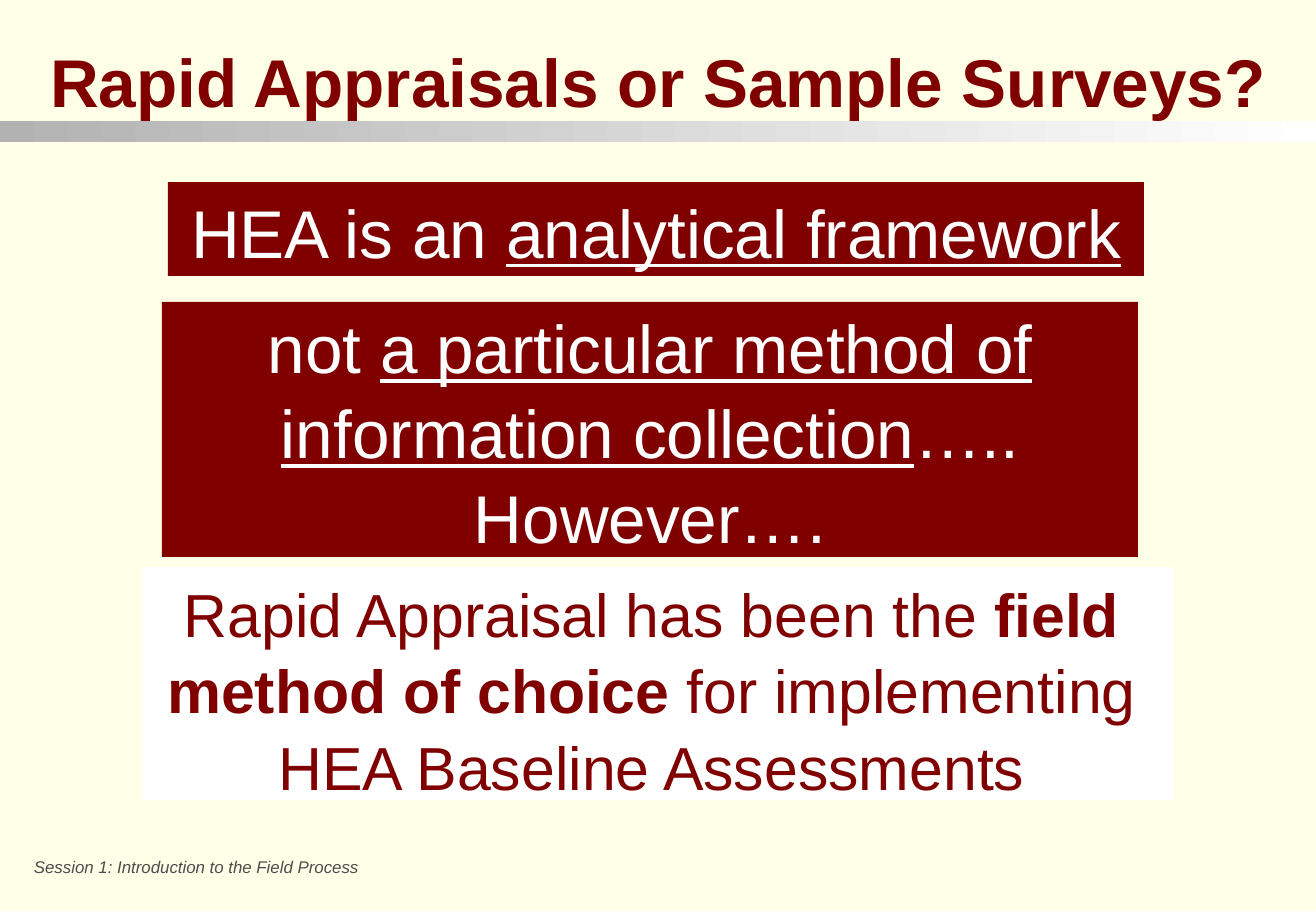
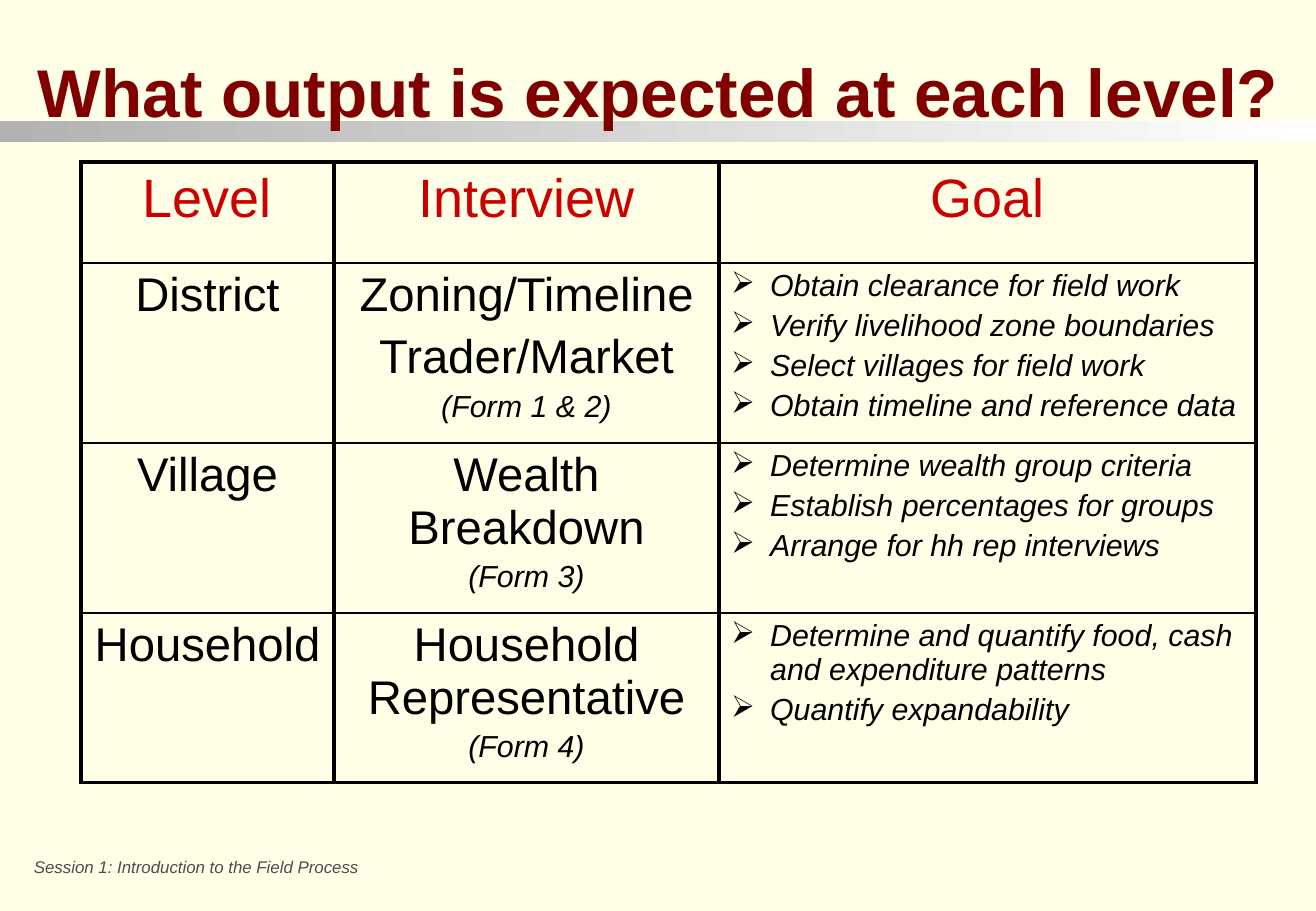
import pptx
import pptx.util
import pptx.dml.color
import pptx.enum.shapes
import pptx.enum.text
import pptx.oxml
import pptx.oxml.ns

# Content
FOOTER = "Session 1: Introduction to the Field Process"
SURVEYS_TITLE = "Rapid Appraisals or Sample Surveys?"
OUTPUT_TITLE = "What output is expected at each level?"

# Each statement is a list of (text, emphasised) runs.
FRAMEWORK = [("HEA is an ", False), ("analytical framework", True)]
METHOD = [("not ", False),
          ("a particular method of information collection", True),
          ("….. However….", False)]
CHOICE = [("Rapid Appraisal has been the ", False),
          ("field method of choice", True),
          (" for implementing HEA Baseline Assessments", False)]

# Each column: width, heading, then one list of (style, text) per level.
LEVEL_COLUMNS = [
    (253, "Level", [
        [("entry", "District")],
        [("entry", "Village")],
        [("entry", "Household")],
    ]),
    (385, "Interview", [
        [("entry", "Zoning/Timeline"), ("entry", "Trader/Market"),
         ("form", "(Form 1 & 2)")],
        [("entry", "Wealth Breakdown"), ("form", "(Form 3)")],
        [("entry", "Household Representative"), ("form", "(Form 4)")],
    ]),
    (537, "Goal", [
        [("goal", "Obtain clearance for field work"),
         ("goal", "Verify livelihood zone boundaries"),
         ("goal", "Select villages for field work"),
         ("goal", "Obtain timeline and reference data")],
        [("goal", "Determine wealth group criteria"),
         ("goal", "Establish percentages for groups"),
         ("goal", "Arrange for hh rep interviews")],
        [("goal", "Determine and quantify food, cash and expenditure patterns"),
         ("goal", "Quantify expandability")],
    ]),
]

# Look
FONT = "Arial"
COLORS = {
    "cream": "FFFFE7", "maroon": "800000", "white": "FFFFFF", "silver": "B2B2B2",
    "gray": "4D4D4D", "red": "CC0000", "black": "000000",
}
# style: size, colour, italic, centred
CELL_STYLES = {
    "heading": (32, "red", False, True),
    "entry": (28, "black", False, True),
    "form": (18, "black", True, True),
    "goal": (18, "black", True, False),
}
SLIDE_WIDTH, SLIDE_HEIGHT = 1316, 911
TABLE_LEFT, TABLE_TOP = 81, 162
ROW_HEIGHTS = [101, 180, 170, 170]
GOAL_INDENT = 39
THICK, THIN = 2.25, 1
LOOSE = 1.05
EMU_PER_PIXEL = 914400 / 121.5

CENTER = pptx.enum.text.PP_ALIGN.CENTER
LEFT = pptx.enum.text.PP_ALIGN.LEFT


def px(pixels):
    """Turn pixels into EMU."""
    return pptx.util.Emu(round(pixels * EMU_PER_PIXEL))


def rgb(name):
    """Look up a named colour."""
    return pptx.dml.color.RGBColor.from_string(COLORS[name])


def style_paragraph(paragraph, size, color, align=LEFT, bold=False, italic=False):
    """Set alignment and font for a whole paragraph."""
    paragraph.alignment = align
    font = paragraph.font
    font.name, font.size = FONT, pptx.util.Pt(size)
    font.bold, font.italic = bold, italic
    font.color.rgb = rgb(color)


def add_rect(slide, box):
    """Add a rectangle without line or shadow."""
    rect = slide.shapes.add_shape(
        pptx.enum.shapes.MSO_SHAPE.RECTANGLE, *map(px, box))
    rect.shadow.inherit = False
    rect.line.fill.background()
    return rect


def add_panel(slide, box, color):
    """Add a rectangle of one colour."""
    panel = add_rect(slide, box)
    panel.fill.solid()
    panel.fill.fore_color.rgb = rgb(color)
    return panel


def add_text(slide, box):
    """Add a wrapping text box and return its text frame."""
    frame = slide.shapes.add_textbox(*map(px, box)).text_frame
    frame.word_wrap = True
    return frame


def write_statement(frame, runs, size, color, emphasis):
    """Write centred runs, with the emphasised ones bold or underlined."""
    paragraph = frame.paragraphs[0]
    style_paragraph(paragraph, size, color, CENTER)
    paragraph.line_spacing = LOOSE
    for text, emphasised in runs:
        run = paragraph.add_run()
        run.text = text
        if emphasised:
            setattr(run.font, emphasis, True)


def add_base_slide(deck, title, title_top):
    """Add a slide with background, band, title and footer."""
    slide = deck.slides.add_slide(deck.slide_layouts[6])
    slide.background.fill.solid()
    slide.background.fill.fore_color.rgb = rgb("cream")

    band = add_rect(slide, (0, 121, SLIDE_WIDTH, 21))
    band.fill.gradient()
    band.fill.gradient_angle = 0
    for stop, color in zip(band.fill.gradient_stops, ("silver", "white")):
        stop.color.rgb = rgb(color)

    heading = add_text(slide, (10, title_top, 1296, 94)).paragraphs[0]
    heading.text = title
    heading.line_spacing = LOOSE
    style_paragraph(heading, 40, "maroon", CENTER, bold=True)

    footer = add_text(slide, (22, 851, 363, 33)).paragraphs[0]
    footer.text = FOOTER
    style_paragraph(footer, 10, "gray", italic=True)
    return slide


def set_borders(cell, widths):
    """Draw the left, right, top and bottom cell borders in black."""
    properties = cell._tc.get_or_add_tcPr()
    for side, width in zip("LRTB", widths):
        properties.append(pptx.oxml.parse_xml(
            f'<a:ln{side} {pptx.oxml.ns.nsdecls("a")} w="{pptx.util.Pt(width)}">'
            f'<a:solidFill><a:srgbClr val="{COLORS["black"]}"/></a:solidFill>'
            f'</a:ln{side}>'))


def add_bullet(paragraph):
    """Give a paragraph an arrowhead bullet with a hanging indent."""
    properties = paragraph._p.get_or_add_pPr()
    properties.set("marL", str(px(GOAL_INDENT)))
    properties.set("indent", str(-px(GOAL_INDENT)))
    properties.append(pptx.oxml.parse_xml(
        f'<a:buChar {pptx.oxml.ns.nsdecls("a")} char="➢"/>'))


def fill_cell(cell, lines):
    """Write styled lines into a cell."""
    frame = cell.text_frame
    for index, (style, text) in enumerate(lines):
        paragraph = frame.add_paragraph() if index else frame.paragraphs[0]
        paragraph.text = text
        size, color, italic, centred = CELL_STYLES[style]
        style_paragraph(paragraph, size, color, CENTER if centred else LEFT,
                        italic=italic)
        if index:
            paragraph.space_before = pptx.util.Pt(size * 0.2)
        if style == "goal":
            add_bullet(paragraph)


def add_level_column(slide, left, width, heading, levels):
    """Add one single-column table with a heading and a cell per level."""
    cells = [[("heading", heading)]] + levels
    table = slide.shapes.add_table(
        len(cells), 1, px(left), px(TABLE_TOP), px(width),
        px(sum(ROW_HEIGHTS))).table
    table.first_row = table.horz_banding = False
    last = len(cells) - 1
    for row, lines in enumerate(cells):
        table.rows[row].height = px(ROW_HEIGHTS[row])
        cell = table.cell(row, 0)
        set_borders(cell, (THICK, THICK, THIN if row else THICK,
                           THICK if row == last else THIN))
        cell.fill.background()
        fill_cell(cell, lines)


def build_surveys_slide(deck):
    """Build the slide on rapid appraisals."""
    slide = add_base_slide(deck, SURVEYS_TITLE, 30)
    for box, runs in (((168, 182, 976, 94), FRAMEWORK),
                      ((162, 302, 976, 255), METHOD)):
        frame = add_panel(slide, box, "maroon").text_frame
        frame.word_wrap = True
        write_statement(frame, runs, 40, "white", "underline")
    add_panel(slide, (142, 567, 1032, 233), "white")
    choice = add_text(slide, (128, 567, 1047, 231))
    write_statement(choice, CHOICE, 36, "maroon", "bold")


def build_output_slide(deck):
    """Build the slide on the output of each level."""
    slide = add_base_slide(deck, OUTPUT_TITLE, 40)
    left = TABLE_LEFT
    for width, heading, levels in LEVEL_COLUMNS:
        add_level_column(slide, left, width, heading, levels)
        left += width


deck = pptx.Presentation()
deck.slide_width, deck.slide_height = px(SLIDE_WIDTH), px(SLIDE_HEIGHT)
build_surveys_slide(deck)
build_output_slide(deck)
deck.save("out.pptx")
